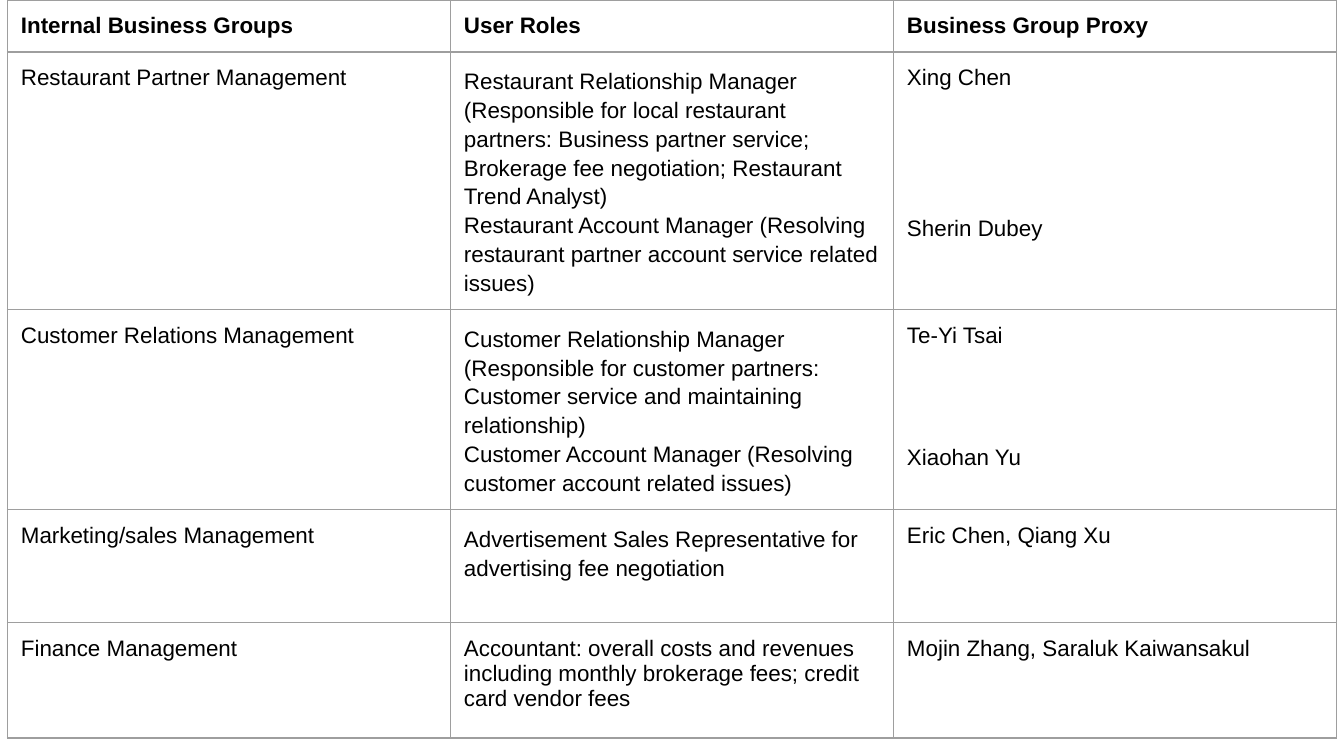
from lxml import etree
from pptx import Presentation
from pptx.dml.color import RGBColor
from pptx.oxml.ns import qn
from pptx.util import Pt

COLORS = {"text": "000000", "border": "9E9E9E"}
BORDER_WIDTH = Pt(0.75)
COLUMN_WIDTH = 237.35
ROW_HEIGHTS = [27.7, 138, 107.2, 60.5, 61.8]
CELL_FORMAT = {
    "margin_left": Pt(7.2),
    "margin_right": Pt(7.2),
    "margin_top": Pt(7.2),
    "margin_bottom": Pt(7.2),
}
FONT_FORMAT = {"name": "Arial", "size": Pt(12)}
ROWS = [
    [["Internal Business Groups"], ["User Roles"], ["Business Group Proxy"]],
    [
        ["Restaurant Partner Management"],
        [
            "Restaurant Relationship Manager (Responsible for local restaurant partners: "
            "Business partner service; Brokerage fee negotiation; Restaurant Trend Analyst)",
            "Restaurant Account Manager (Resolving restaurant partner account service related issues)",
        ],
        ["Xing Chen", "Sherin Dubey"],
    ],
    [
        ["Customer Relations Management"],
        [
            "Customer Relationship Manager (Responsible for customer partners: "
            "Customer service and maintaining relationship)",
            "Customer Account Manager (Resolving customer account related issues)",
        ],
        ["Te-Yi Tsai", "Xiaohan Yu"],
    ],
    [
        ["Marketing/sales Management"],
        ["Advertisement Sales Representative for advertising fee negotiation"],
        ["Eric Chen, Qiang Xu"],
    ],
    [
        ["Finance Management"],
        ["Accountant: overall costs and revenues including monthly brokerage fees; credit card vendor fees"],
        ["Mojin Zhang, Saraluk Kaiwansakul"],
    ],
]
ROLE_LINE_SPACING = {1: 1.15, 2: 1.15, 3: 1.15}
PROXY_GAPS = {1: 67.4, 2: 52}


def add_borders(cell):
    properties = cell._tc.get_or_add_tcPr()
    for side in ("a:lnL", "a:lnR", "a:lnT", "a:lnB"):
        line = etree.SubElement(properties, qn(side), w=str(BORDER_WIDTH))
        fill = etree.SubElement(line, qn("a:solidFill"))
        etree.SubElement(fill, qn("a:srgbClr"), val=COLORS["border"])


presentation = Presentation()
presentation.slide_width = Pt(720)
presentation.slide_height = Pt(405)
slide = presentation.slides.add_slide(presentation.slide_layouts[6])

table = slide.shapes.add_table(
    len(ROWS), 3, Pt(4), Pt(0), Pt(3 * COLUMN_WIDTH), Pt(sum(ROW_HEIGHTS))
).table
table.first_row = False
table.horz_banding = False
for column in table.columns:
    column.width = Pt(COLUMN_WIDTH)

for row_index, row in enumerate(ROWS):
    table.rows[row_index].height = Pt(ROW_HEIGHTS[row_index])
    for column_index, texts in enumerate(row):
        cell = table.cell(row_index, column_index)
        for name, value in CELL_FORMAT.items():
            setattr(cell, name, value)
        add_borders(cell)
        cell.fill.background()
        for index, text in enumerate(texts):
            frame = cell.text_frame
            paragraph = frame.add_paragraph() if index else frame.paragraphs[0]
            if column_index == 1:
                paragraph.line_spacing = ROLE_LINE_SPACING.get(row_index, 1.0)
            if column_index == 2 and index:
                paragraph.space_before = Pt(PROXY_GAPS[row_index])
            run = paragraph.add_run()
            run.text = text
            for name, value in FONT_FORMAT.items():
                setattr(run.font, name, value)
            run.font.bold = row_index == 0
            run.font.color.rgb = RGBColor.from_string(COLORS["text"])

presentation.save("out.pptx")
